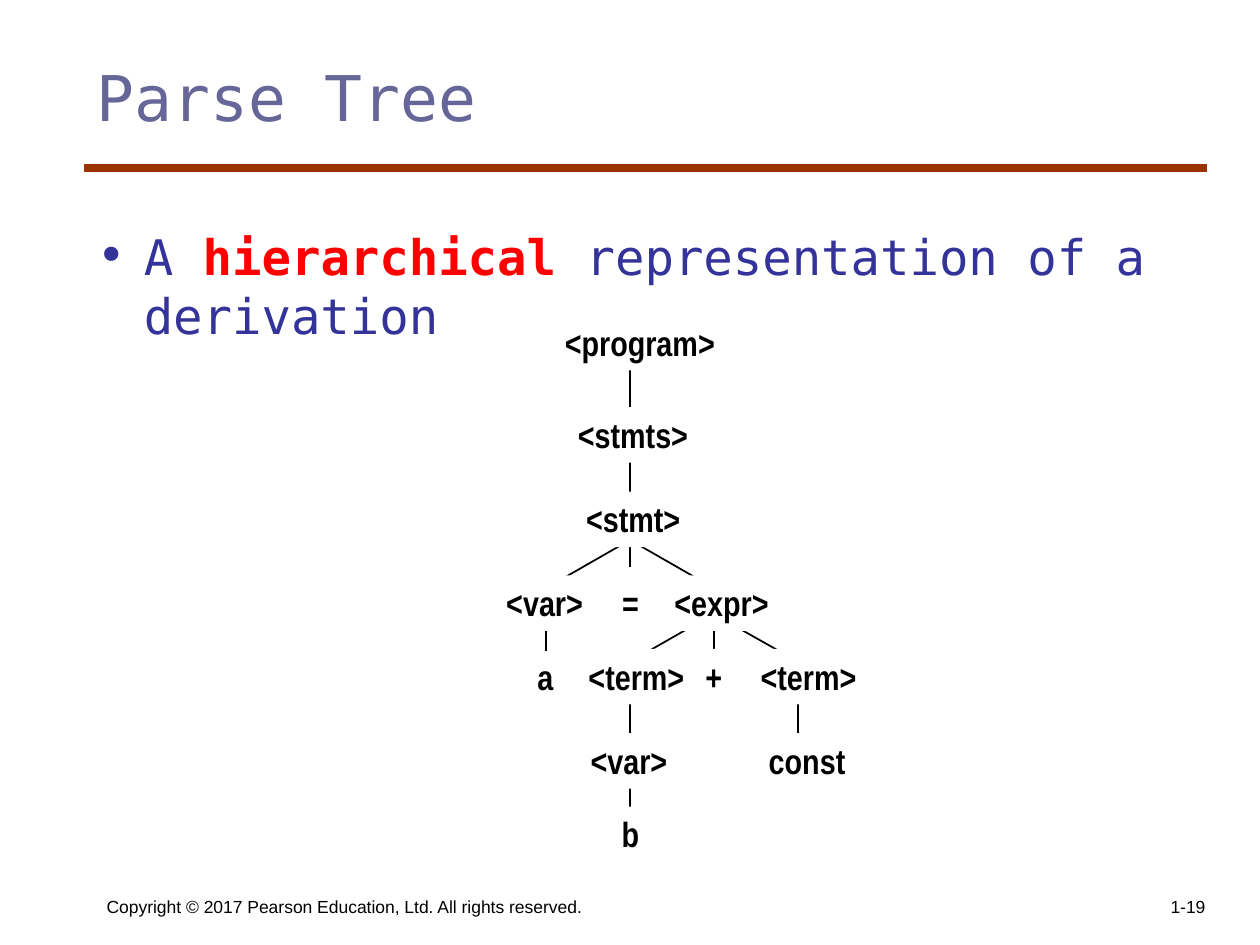
import pptx
import pptx.util
import pptx.dml.color
import pptx.enum.shapes
import pptx.enum.text
import pptx.oxml.ns
import lxml.etree

Cm, Pt = pptx.util.Cm, pptx.util.Pt
RGBColor = pptx.dml.color.RGBColor
ANCHOR, ALIGN = pptx.enum.text.MSO_ANCHOR, pptx.enum.text.PP_ALIGN
qn = pptx.oxml.ns.qn

BLACK = RGBColor(0x00, 0x00, 0x00)
WHITE = RGBColor(0xFF, 0xFF, 0xFF)
RUST = RGBColor(0x99, 0x33, 0x00)
SLATE = RGBColor(0x66, 0x66, 0x99)
INDIGO = RGBColor(0x33, 0x33, 0x99)
RED = RGBColor(0xFF, 0x00, 0x00)
MONO = "DejaVu Sans Mono"

prs = pptx.Presentation()
prs.slide_width, prs.slide_height = Cm(25.4), Cm(19.05)
s = prs.slides.add_slide(prs.slide_layouts[6])


def add_line(x1, y1, x2, y2, color, width):
    sp = s.shapes.add_connector(pptx.enum.shapes.MSO_CONNECTOR.STRAIGHT,
                                Cm(x1), Cm(y1), Cm(x2), Cm(y2))
    sp.line.color.rgb = color
    sp.line.width = Pt(width)
    lxml.etree.SubElement(sp._element.spPr, qn("a:effectLst"))


def add_run(p, text, size, font, color, bold=False):
    r = p.add_run()
    r.text = text
    r.font.size, r.font.name, r.font.bold = Pt(size), font, bold
    r.font.color.rgb = color


# Rule under the title, with the small mark below it
add_line(1.7, 4.24, 1.7, 4.24, BLACK, 0.75)
add_line(1.7, 3.38, 24.34, 3.38, RUST, 4.5)

# Footer: copyright and slide number
for left, width, align, text in [
    (1.9, 11.64, ALIGN.LEFT, "Copyright © 2017 Pearson Education, Ltd. All rights reserved."),
    (19.26, 5.29, ALIGN.RIGHT, "1-19"),
]:
    sp = s.shapes.add_textbox(Cm(left), Cm(17.35), Cm(width), Cm(1.27))
    tf = sp.text_frame
    tf.word_wrap = True
    tf.vertical_anchor = ANCHOR.BOTTOM
    p = tf.paragraphs[0]
    p.alignment = align
    add_run(p, text, 10, "Arial", BLACK)

# Title
sp = s.shapes.add_textbox(Cm(1.7), Cm(1.06), Cm(22.64), Cm(2))
tf = sp.text_frame
tf.word_wrap = True
add_run(tf.paragraphs[0], "Parse Tree", 36, MONO, SLATE)

# Bullet
sp = s.shapes.add_textbox(Cm(1.7), Cm(4.44), Cm(22.64), Cm(2.8))
tf = sp.text_frame
tf.word_wrap = True
p = tf.paragraphs[0]
pPr = p._p.get_or_add_pPr()
pPr.set("marL", str(Cm(0.95)))
pPr.set("indent", str(-Cm(0.95)))
lxml.etree.SubElement(pPr, qn("a:buFont")).set("typeface", MONO)
lxml.etree.SubElement(pPr, qn("a:buChar")).set("char", "•")
add_run(p, "A ", 28, MONO, INDIGO)
add_run(p, "hierarchical", 28, MONO, RED, True)
add_run(p, " representation of a derivation", 28, MONO, INDIGO)

# Tree branches; the filled nodes cover their inner ends
for branch in [
    (12.7, 6.99, 12.7, 11.43),     # program to stmts, stmt and =
    (12.5, 11, 11, 11.86),         # stmt to var
    (12.9, 11, 14.4, 11.86),       # stmt to expr
    (11, 11.86, 11, 13.13),        # var to a
    (14.17, 12.5, 12.7, 13.34),    # expr to left term
    (14.4, 11.86, 14.4, 13.34),    # expr to +
    (14.6, 12.5, 16.09, 13.34),    # expr to right term
    (12.7, 13.54, 12.7, 16.94),    # left term to var and b
    (16.09, 13.54, 16.09, 15.44),  # right term to const
]:
    add_line(*branch, BLACK, 1)

# Tree nodes by level: top, then (text, left, width)
levels = [
    (6.35, [("<program>", 11.12, 3.56)]),
    (8.21, [("<stmts>", 11.36, 2.8)]),
    (9.91, [("<stmt>", 11.54, 2.45)]),
    (11.6, [("<var>", 9.93, 2.1), ("=", 12.27, 0.88), ("<expr>", 13.32, 2.45)]),
    (13.08, [("a", 10.57, 0.85), ("<term>", 11.59, 2.48), ("+", 13.95, 0.88),
             ("<term>", 15.06, 2.48)]),
    (14.78, [("<var>", 11.63, 2.1), ("const", 15.22, 2.1)]),
    (16.26, [("b", 12.27, 0.88)]),
]
for top, nodes in levels:
    for text, left, width in nodes:
        sp = s.shapes.add_shape(pptx.enum.shapes.MSO_SHAPE.RECTANGLE,
                                Cm(left), Cm(top), Cm(width), Cm(1.12))
        sp.shadow.inherit = False
        sp.line.fill.background()
        if text in ("=", "a"):
            sp.fill.background()
        else:
            sp.fill.solid()
            sp.fill.fore_color.rgb = WHITE
        tf = sp.text_frame
        tf.word_wrap = False
        tf.auto_size = pptx.enum.text.MSO_AUTO_SIZE.SHAPE_TO_FIT_TEXT
        tf.vertical_anchor = ANCHOR.TOP
        p = tf.paragraphs[0]
        p.alignment = ALIGN.CENTER
        add_run(p, text, 20, "Arial Narrow", BLACK, True)

prs.save("out.pptx")
